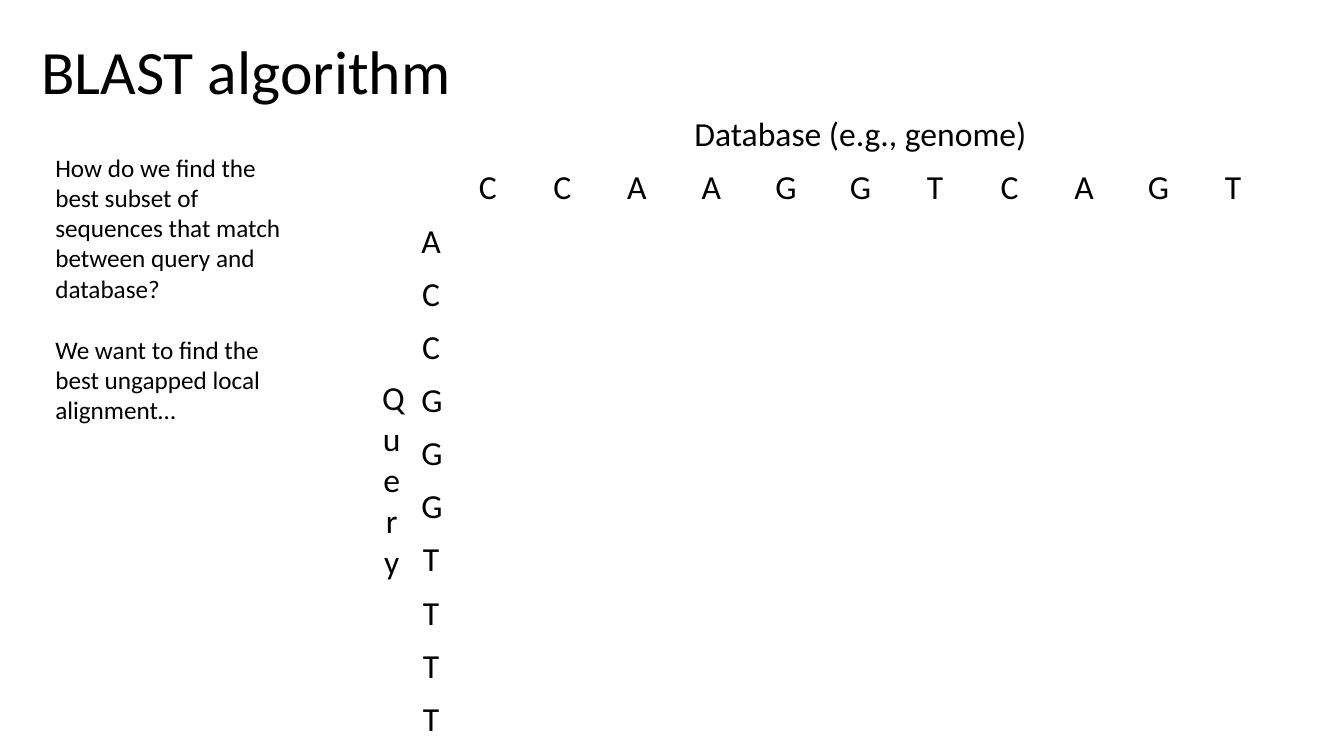
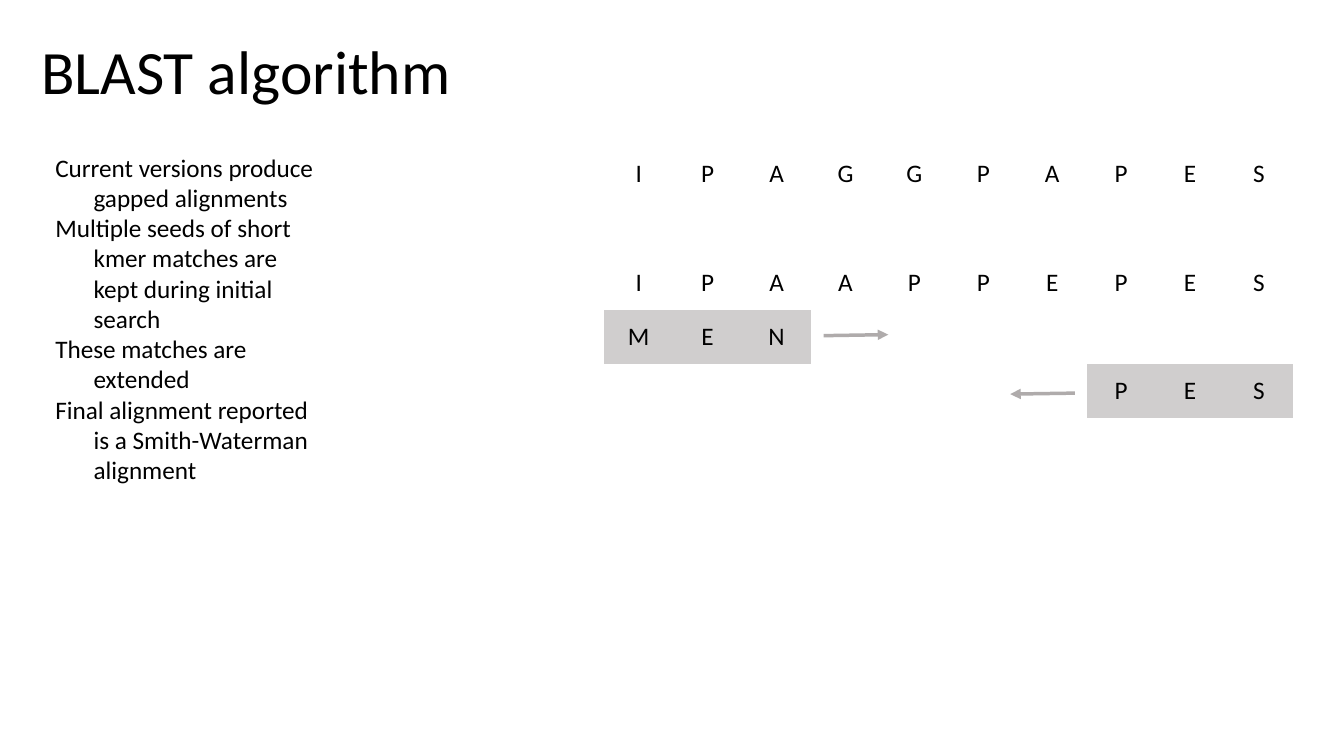
from lxml import etree
from pptx import Presentation
from pptx.dml.color import RGBColor
from pptx.enum.shapes import MSO_CONNECTOR
from pptx.enum.text import MSO_ANCHOR, PP_ALIGN
from pptx.oxml.ns import qn
from pptx.util import Inches, Pt

BLACK = RGBColor(0x00, 0x00, 0x00)
WHITE = RGBColor(0xFF, 0xFF, 0xFF)
SEED = RGBColor(0xD0, 0xCE, 0xCE)
ARROW = RGBColor(0xAF, 0xAB, 0xAB)
FONT = "Calibri"
PLAIN = "{2D5ABB26-0587-4C30-8999-92F81FD0307C}"  # no style, no grid


def style(par, size):
    par.font.name = FONT
    par.font.size = Pt(size)
    par.font.color.rgb = BLACK


def add_text(slide, box, lines, size, gap=0, hang=0):
    """Add paragraphs with a gap between them (points) and a hanging indent (inches)."""
    frame = slide.shapes.add_textbox(*map(Inches, box)).text_frame
    frame.word_wrap = True
    for i, line in enumerate(lines):
        par = frame.add_paragraph() if i else frame.paragraphs[0]
        par.text = line
        if hang:
            props = par._p.get_or_add_pPr()
            props.set("marL", str(Inches(hang)))
            props.set("indent", str(Inches(-hang)))
        if i and gap:
            par.space_before = Pt(gap)
        style(par, size)
    return frame


def add_page(deck):
    slide = deck.slides.add_slide(deck.slide_layouts[6])
    frame = add_text(slide, (0.31, 0.01, 11.5, 1.45), ["BLAST algorithm"], 44)
    frame.vertical_anchor = MSO_ANCHOR.MIDDLE
    frame.paragraphs[0].line_spacing = 0.9
    return slide


def add_grid(slide, box, rows, widths):
    """Add an unstyled table of equal rows, without fills."""
    shape = slide.shapes.add_table(rows, len(widths), *map(Inches, box))
    table = shape.table
    table.first_row = table.horz_banding = False
    table._tbl.tblPr.find(qn("a:tableStyleId")).text = PLAIN
    for col, width in zip(table.columns, widths):
        col.width = Inches(width)
    for row in table.rows:
        row.height = Inches(box[3] / rows)
    for cell in table.iter_cells():
        cell.fill.background()
    return table


def fill_cell(cell, text, size):
    cell.vertical_anchor = MSO_ANCHOR.MIDDLE
    par = cell.text_frame.paragraphs[0]
    par.text = text
    par.alignment = PP_ALIGN.CENTER
    style(par, size)


def add_arrow(slide, start, end):
    line = slide.shapes.add_connector(
        MSO_CONNECTOR.STRAIGHT, *map(Inches, (*start, *end)))
    line.line.color.rgb = ARROW
    line.line.width = Pt(2.5)
    etree.SubElement(line.line._get_or_add_ln(), qn("a:tailEnd"), type="triangle")
    etree.SubElement(line._element.spPr, qn("a:effectLst"))


def add_matrix(slide, box, base, query):
    """Add an empty matrix with the database on top and the query at the left."""
    side = 0.39
    step = (box[2] - 2 * side) / len(base)
    table = add_grid(slide, box, len(query) + 2, [side] * 2 + [step] * len(base))
    last_row, last_col = len(query) + 1, len(base) + 1
    table.cell(0, 2).merge(table.cell(0, last_col))
    table.cell(2, 0).merge(table.cell(last_row, 0))
    fill_cell(table.cell(0, 2), "Database (e.g., genome)", 24)
    fill_cell(table.cell(2, 0), "Query", 24)
    for i, base_char in enumerate(base, 2):
        fill_cell(table.cell(1, i), base_char, 24)
    for i, query_char in enumerate(query, 2):
        fill_cell(table.cell(i, 1), query_char, 24)


def add_seeds(slide, box):
    """Add the two sequences, the shaded seeds and the arrows that extend them."""
    left, top, width, _ = box
    count = 11
    table = add_grid(slide, box, count, [width / count] * count)
    for row in range(count):
        for col in range(1, count):
            fill = table.cell(row, col).fill
            fill.solid()
            fill.fore_color.rgb = WHITE
    # row, first column, letters, shaded
    words = [
        (0, 1, "IPAGGPAPES", False),
        (2, 1, "IPAAPPEPES", False),
        (3, 1, "MEN", True),
        (4, 8, "PES", True),
    ]
    for row, first, word, shaded in words:
        for col, char in enumerate(word, first):
            cell = table.cell(row, col)
            fill_cell(cell, char, 18)
            if shaded:
                cell.fill.fore_color.rgb = SEED
    add_arrow(slide, (left + 5.35, top + 2.44), (left + 4.71, top + 2.45))
    add_arrow(slide, (left + 2.86, top + 1.87), (left + 3.5, top + 1.86))


def add_question(deck):
    slide = add_page(deck)
    add_matrix(slide, (3.69, 1.08, 8.91, 6.33), "CCAAGGTCAGT", "ACCGGGTTTT")
    add_text(slide, (0.45, 1.46, 2.52, 2.83), [
        "How do we find the best subset of sequences that match "
        "between query and database?",
        "We want to find the best ungapped local alignment…",
    ], 18, gap=22)


def add_versions(deck):
    slide = add_page(deck)
    add_seeds(slide, (5.31, 1.46, 7.52, 5.91))
    add_text(slide, (0.45, 1.46, 2.8, 3.43), [
        "Current versions produce gapped alignments",
        "Multiple seeds of short kmer matches are kept during initial search",
        "These matches are extended",
        "Final alignment reported is a Smith-Waterman alignment",
    ], 18, hang=0.38)


def main():
    deck = Presentation()
    deck.slide_width = Inches(13.33)
    deck.slide_height = Inches(7.5)
    add_question(deck)
    add_versions(deck)
    deck.save("out.pptx")


if __name__ == "__main__":
    main()
